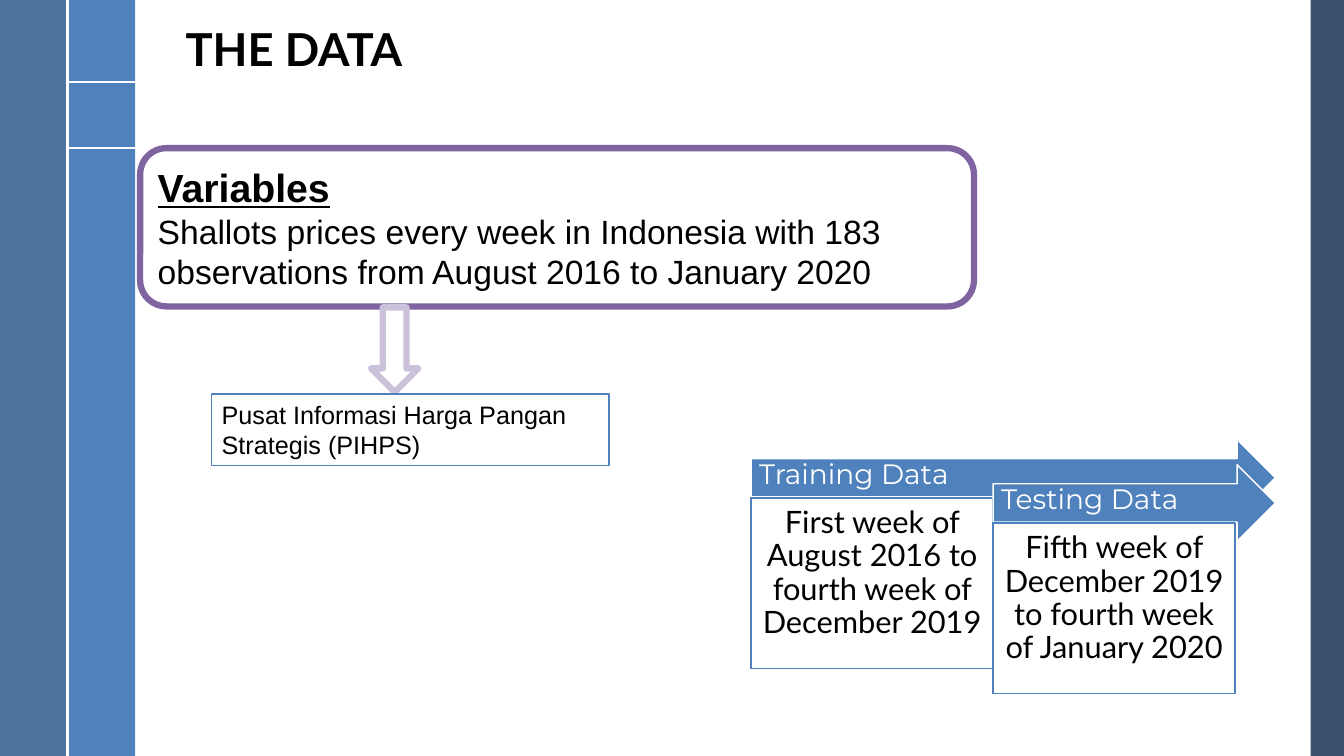
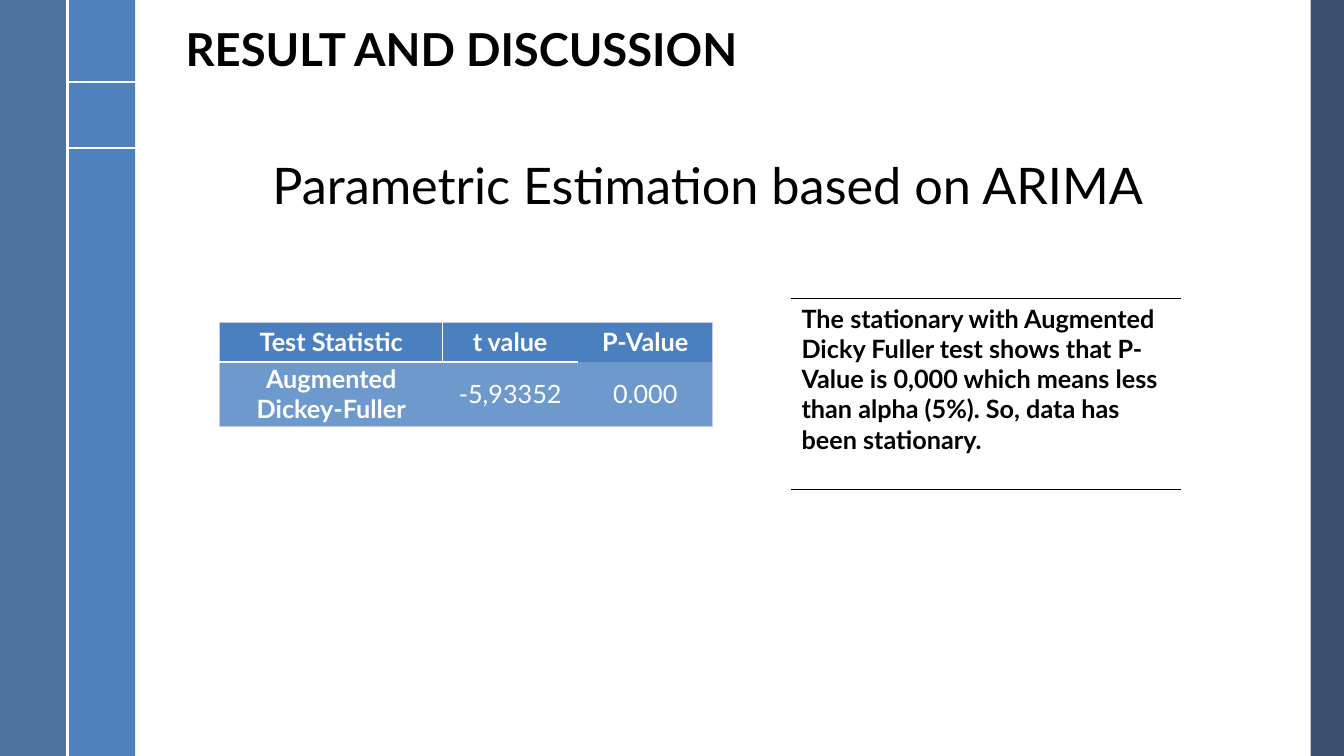
from lxml.etree import SubElement
from pptx import Presentation
from pptx.dml.color import RGBColor
from pptx.enum.shapes import MSO_CONNECTOR, MSO_SHAPE
from pptx.enum.text import MSO_ANCHOR, MSO_AUTO_SIZE, PP_ALIGN
from pptx.oxml.ns import qn
from pptx.util import Inches, Pt

# Content
DATA_TITLE = "THE DATA"
VARIABLES = ("Variables",
             "Shallots prices every week in Indonesia with 183 "
             "observations from August 2016 to January 2020")
DATA_SOURCE = "Pusat Informasi Harga Pangan Strategis (PIHPS)"
PERIODS = [
    ("Training Data", "First week of August 2016 to fourth week of December 2019"),
    ("Testing Data", "Fifth week of December 2019 to fourth week of January 2020"),
]
RESULT_TITLE = "RESULT AND DISCUSSION"
RESULT_HEADING = "Parametric Estimation based on ARIMA"
TEST_ROWS = [
    ("Test Statistic", "t value", "P-Value"),
    ("Augmented Dickey-Fuller", "-5,93352", "0.000"),
]
CONCLUSION = ("The stationary with Augmented Dicky Fuller test shows that P-Value is "
              "0,000 which means less than alpha (5%). So, data has been stationary.")

# Shared style
WIDTH, HEIGHT = 13.33, 7.5
BLACK, WHITE, BLUE = "000000", "FFFFFF", "4F81BD"
PURPLE, LILAC = "8064A2", "CCC1DA"
HEADER_BLUE, ROW_BLUE, TABLE_EDGE = "4A7FC0", "6E99CD", "C2CDE1"
BODY, LABEL, PLAIN = "Lato", "Montserrat", "Arial"
BAND = 0.67
BANDS = [  # left, width, colour, opacity in percent
    (13, 0.33, "254061", 90),
    (BAND, BAND, BLUE, 100),
    (0, BAND, "376092", 88),
]
BAND_LINES = [  # x1, y1, x2, y2
    (BAND, 0.81, 2 * BAND, 0.81),
    (BAND, 1.47, 2 * BAND, 1.47),
    (BAND, 0, BAND, HEIGHT),
]
NO_STYLE = "{2D5ABB26-0587-4C30-8999-92F81FD0307C}"


def color(value):
    return RGBColor.from_string(value)


def box(*lengths):
    return [Inches(length) for length in lengths]


def format_text(paragraph, size, font=BODY, ink=BLACK, bold=False, underline=False,
                align=PP_ALIGN.LEFT, spacing=None):
    paragraph.alignment = align
    paragraph.line_spacing = spacing
    for run in paragraph.runs:
        run.font.size = Pt(size)
        run.font.name = font
        run.font.bold = bold
        run.font.underline = underline
        run.font.color.rgb = color(ink)


def add_block(slide, preset, place, fill, line=None, line_width=1):
    block = slide.shapes.add_shape(preset, *box(*place))
    block.shadow.inherit = False
    block.fill.solid()
    block.fill.fore_color.rgb = color(fill)
    if line:
        block.line.color.rgb = color(line)
        block.line.width = Pt(line_width)
    else:
        block.line.fill.background()
    block.text_frame.word_wrap = True
    return block


def set_insets(frame, left, top, right, bottom):
    frame.margin_left, frame.margin_top = box(left, top)
    frame.margin_right, frame.margin_bottom = box(right, bottom)


def add_bands(slide, layout):
    """Draw the side bands and move them to the shared layout."""
    parts = []
    for left, width, fill, opacity in BANDS:
        band = add_block(slide, MSO_SHAPE.RECTANGLE, (left, 0, width, HEIGHT), fill)
        if opacity < 100:
            tint = next(band.element.spPr.iter(qn("a:srgbClr")))
            SubElement(tint, qn("a:alpha"), val=str(opacity * 1000))
        parts.append(band)
    for ends in BAND_LINES:
        rule = slide.shapes.add_connector(MSO_CONNECTOR.STRAIGHT, *box(*ends))
        rule.line.color.rgb = color(WHITE)
        rule.line.width = Pt(1.5)
        SubElement(rule.element.spPr, qn("a:effectLst"))
        parts.append(rule)
    for part in parts:
        layout.shapes.element.append(part.element)


def add_titled_slide(deck, layout, text):
    slide = deck.slides.add_slide(layout)
    title = slide.shapes.title
    title.left, title.top, title.width, title.height = box(1.74, 0.14, 11.22, 0.75)
    title.text_frame.text = text
    title.text_frame.auto_size = MSO_AUTO_SIZE.NONE
    title.text_frame.vertical_anchor = MSO_ANCHOR.MIDDLE
    format_text(title.text_frame.paragraphs[0], 32.4, bold=True, spacing=0.9)
    return slide


def add_plain_table(slide, rows, place, widths, heights):
    frame = slide.shapes.add_table(len(rows), len(widths), *box(*place))
    next(frame.element.iter(qn("a:tableStyleId"))).text = NO_STYLE
    table = frame.table
    table.first_row = table.horz_banding = False
    for column, width in zip(table.columns, widths):
        column.width = Inches(width)
    for row, height in zip(table.rows, heights):
        row.height = Inches(height)
    for r, texts in enumerate(rows):
        for c, text in enumerate(texts):
            table.cell(r, c).text_frame.text = text
    return table


def set_borders(cell, **edges):
    """Edges L, R, T, B as (colour, points); they precede the cell's fill."""
    properties = cell.fill and next(cell.text_frame.paragraphs[0]
                                    ._p.iterancestors(qn("a:tc"))).get_or_add_tcPr()
    present = [side for side in "LRTB" if side in edges]
    for position, side in enumerate(present):
        ink, points = edges[side]
        line = SubElement(properties, qn(f"a:ln{side}"), w=str(Pt(points)))
        fill = SubElement(line, qn("a:solidFill"))
        SubElement(fill, qn("a:srgbClr"), val=ink)
        properties.insert(position, line)


def build_data_slide(slide):
    # Periods: stepped arrows, each with a card below
    left, top, card_width, step = 7.45, 4.36, 2.4, 0.25
    arrow_end = 12.65
    for i, (label, period) in enumerate(PERIODS):
        x, y = left + i * card_width, top + i * step
        arrow = add_block(slide, MSO_SHAPE.RIGHT_ARROW,
                          (x, y, arrow_end - x, 0.76), BLUE, WHITE)
        arrow.text_frame.text = label
        arrow.text_frame.vertical_anchor = MSO_ANCHOR.MIDDLE
        set_insets(arrow.text_frame, 0.08, 0.08, 0.08, 0.12)
        format_text(arrow.text_frame.paragraphs[0], 20, LABEL, WHITE, spacing=0.9)

        card = add_block(slide, MSO_SHAPE.RECTANGLE,
                         (x, y + 0.58, card_width, 1.69), WHITE, BLUE)
        card.text_frame.text = period
        card.text_frame.vertical_anchor = MSO_ANCHOR.TOP
        set_insets(card.text_frame, 0.09, 0.09, 0.09, 0.09)
        format_text(card.text_frame.paragraphs[0], 22,
                    align=PP_ALIGN.CENTER, spacing=0.9)

    # Variables, and the arrow to their source
    variables = add_block(slide, MSO_SHAPE.FLOWCHART_ALTERNATE_PROCESS,
                          (1.39, 1.47, 8.27, 1.57), WHITE, PURPLE, 4.5)
    variables.text_frame.text = "\n".join(VARIABLES)
    variables.text_frame.vertical_anchor = MSO_ANCHOR.MIDDLE
    heading, detail = variables.text_frame.paragraphs
    format_text(heading, 28, PLAIN, bold=True, underline=True)
    format_text(detail, 24, PLAIN)

    add_block(slide, MSO_SHAPE.DOWN_ARROW, (3.68, 3.05, 0.47, 0.84), WHITE, LILAC, 4.5)

    source = add_block(slide, MSO_SHAPE.RECTANGLE, (2.1, 3.91, 3.94, 0.71), WHITE, BLUE)
    source.text_frame.text = DATA_SOURCE
    source.text_frame.vertical_anchor = MSO_ANCHOR.TOP
    format_text(source.text_frame.paragraphs[0], 18, PLAIN)


def build_result_slide(slide):
    heading = slide.shapes.add_textbox(*box(1.27, 1.55, 11.5, 0.7)).text_frame
    heading.word_wrap = True
    heading.text = RESULT_HEADING
    format_text(heading.paragraphs[0], 36, align=PP_ALIGN.CENTER, spacing=0.9)

    # Test statistics
    tests = add_plain_table(slide, TEST_ROWS, (2.18, 3.2, 4.89, 1.03),
                            (2.21, 1.34, 1.34), (0.39, 0.64))
    edge, last = (TABLE_EDGE, 0.5), len(TEST_ROWS[0]) - 1
    for r in range(len(TEST_ROWS)):
        for c in range(last + 1):
            cell = tests.cell(r, c)
            header = r == 0
            cell.fill.solid()
            cell.fill.fore_color.rgb = color(HEADER_BLUE if header else ROW_BLUE)
            cell.vertical_anchor = MSO_ANCHOR.MIDDLE
            set_insets(cell, 0.07, 0, 0.07, 0)
            format_text(cell.text_frame.paragraphs[0], 18, ink=WHITE,
                        bold=header or c == 0, align=PP_ALIGN.CENTER)
            borders = {"T" if header else "B": edge}
            if c == 0:
                borders["L"] = edge
            if c == last:
                borders["R"] = edge
            if header and c < last:
                borders["B"] = (WHITE, 1.5)
            if header and c == 0:
                borders["R"] = (WHITE, 1)
            set_borders(cell, **borders)

    # Conclusion between two rules
    conclusion = add_plain_table(slide, [(CONCLUSION,)], (7.85, 2.96, 3.86, 1.9),
                                 (3.86,), (1.9,)).cell(0, 0)
    conclusion.fill.background()
    format_text(conclusion.text_frame.paragraphs[0], 18, bold=True)
    set_borders(conclusion, T=(BLACK, 1), B=(BLACK, 1))


def main():
    deck = Presentation()
    deck.slide_width, deck.slide_height = box(WIDTH, HEIGHT)
    layout = deck.slide_layouts.get_by_name("Title Only")
    data_slide = add_titled_slide(deck, layout, DATA_TITLE)
    add_bands(data_slide, layout)
    build_data_slide(data_slide)
    build_result_slide(add_titled_slide(deck, layout, RESULT_TITLE))
    deck.save("out.pptx")


if __name__ == "__main__":
    main()
